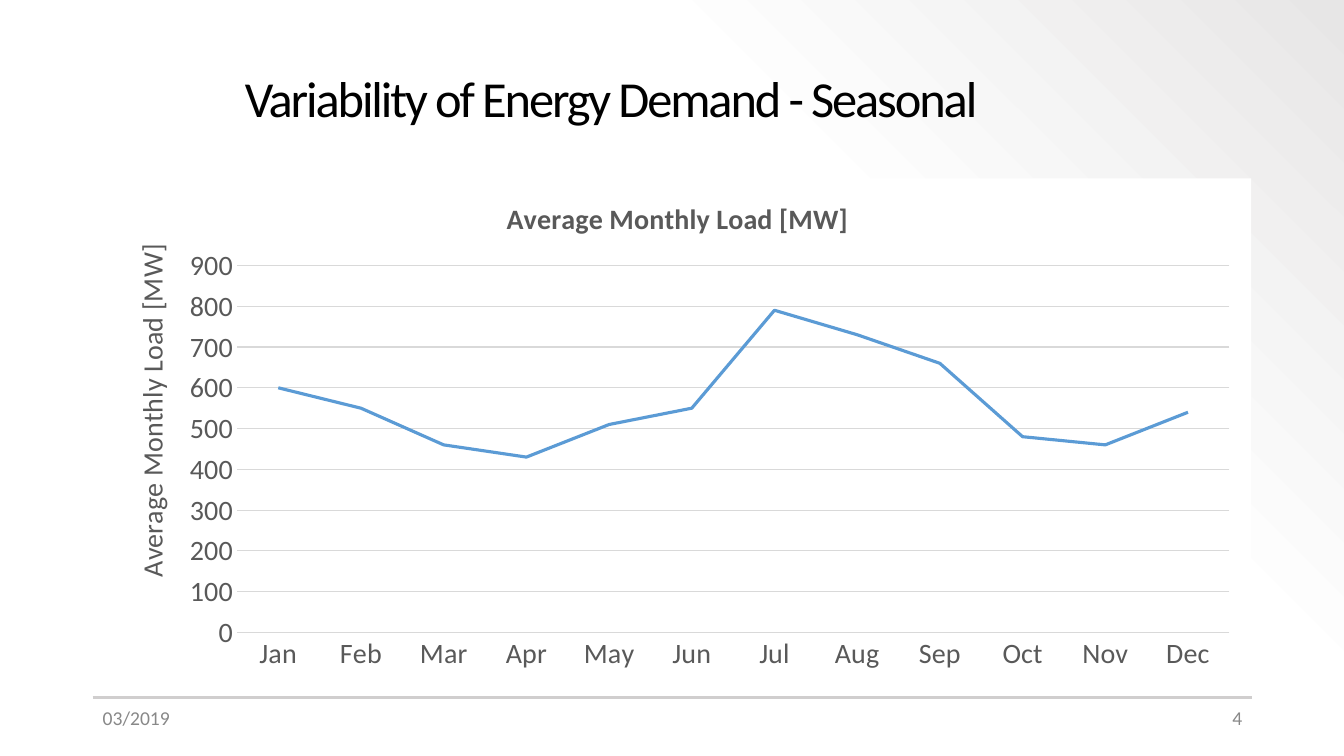
"""Build the slide on seasonal energy demand."""
import copy

import pptx
import pptx.chart.data
import pptx.dml.color
import pptx.enum.chart
import pptx.enum.shapes
import pptx.enum.text
import pptx.oxml
import pptx.oxml.ns
import pptx.util
from pptx.util import Inches

TITLE = "Variability of Energy Demand - Seasonal"
LOAD = "Average Monthly Load [MW]"
DEMAND = {
    "Jan": 600, "Feb": 550, "Mar": 460, "Apr": 430, "May": 510, "Jun": 550,
    "Jul": 790, "Aug": 730, "Sep": 660, "Oct": 480, "Nov": 460, "Dec": 540,
}
FONT = "Calibri"
BLACK, GREY, PALE, BLUE = "000000", "595959", "D9D9D9", "5B9BD5"
ALIGN = pptx.enum.text.PP_ALIGN
FOOTER = [("03/2019", 0.92, ALIGN.LEFT), ("4", 11.12, ALIGN.RIGHT)]
NS = 'xmlns:c="%s" xmlns:a="%s"' % (
    pptx.oxml.ns.nsuri("c"), pptx.oxml.ns.nsuri("a"))


def rgb(code):
    return pptx.dml.color.RGBColor.from_string(code)


def style(font, size, color, bold=False):
    font.name, font.size, font.bold = FONT, pptx.util.Pt(size), bold
    font.color.rgb = rgb(color)


def write(frame, text, size=14, color=BLACK, bold=False, align=None,
          space=None, track=None):
    para = frame.paragraphs[0]
    para.alignment, para.line_spacing = align, space
    run = para.add_run()
    run.text = text
    style(run.font, size, color, bold)
    if track is not None:
        run.font._element.set("spc", str(int(track * 100)))


def stroke(line, color, width):
    line.color.rgb = rgb(color)
    line.width = pptx.util.Pt(width)


def place(part, index, inner=False, **spots):
    for old in part.findall(pptx.oxml.ns.qn("c:layout")):
        part.remove(old)
    target = '<c:layoutTarget val="inner"/>' if inner else ""
    modes = '<c:xMode val="edge"/><c:yMode val="edge"/>'
    sizes = "".join(f'<c:{k} val="{v}"/>' for k, v in spots.items())
    part.insert(index, pptx.oxml.parse_xml(
        f"<c:layout {NS}><c:manualLayout>{target}{modes}{sizes}"
        "</c:manualLayout></c:layout>"))


def paint(slide):
    fill = slide.background.fill
    fill.gradient()
    fill.gradient_angle = 45
    first, last = fill.gradient_stops
    first.color.rgb, first.position = rgb("FDFDFD"), 0.69
    last.color.rgb, last.position = rgb("E7E6E6"), 1
    stops = slide.element.xpath(".//a:gsLst")[0]
    stops.insert(0, copy.deepcopy(stops[0]))
    start = fill.gradient_stops[0]
    start.color.rgb, start.position = rgb("FFFFFF"), 0


def plot(slide):
    data = pptx.chart.data.CategoryChartData(number_format="0")
    data.categories = list(DEMAND)
    data.add_series("Series 1", list(DEMAND.values()))
    chart = slide.shapes.add_chart(
        pptx.enum.chart.XL_CHART_TYPE.LINE, Inches(1.03), Inches(1.77),
        Inches(11.38), Inches(4.99), data).chart
    style(chart.font, 14, BLACK)
    chart.has_legend = False
    chart.has_title = True
    write(chart.chart_title.text_frame, LOAD, size=20, color=GREY, bold=True)
    chart.plots[0].vary_by_categories = False

    line = chart.plots[0].series[0]
    line.smooth = False
    line.marker.style = pptx.enum.chart.XL_MARKER_STYLE.NONE
    stroke(line.format.line, BLUE, 2.25)

    months, loads = chart.category_axis, chart.value_axis
    for axis in (months, loads):
        axis.major_tick_mark = pptx.enum.chart.XL_TICK_MARK.NONE
        axis.minor_tick_mark = pptx.enum.chart.XL_TICK_MARK.NONE
        style(axis.tick_labels.font, 20, GREY)
    stroke(months.format.line, PALE, 0.75)
    loads.format.line.fill.background()
    stroke(loads.major_gridlines.format.line, PALE, 0.75)
    loads.minimum_scale, loads.maximum_scale, loads.major_unit = 0, 900, 100
    loads.has_title = True
    write(loads.axis_title.text_frame, LOAD, size=20, color=GREY)

    root = chart.element
    place(root.xpath(".//c:valAx/c:title")[0], 1, x=0.02, y=0.12)
    place(root.xpath(".//c:plotArea")[0], 0, inner=True,
          x=0.116, y=0.173, w=0.865, h=0.73)
    root.xpath("./c:chart")[0].addnext(pptx.oxml.parse_xml(
        f'<c:spPr {NS}><a:solidFill><a:srgbClr val="FFFFFF"/></a:solidFill>'
        "<a:ln><a:noFill/></a:ln></c:spPr>"))


def main():
    deck = pptx.Presentation()
    deck.slide_width, deck.slide_height = Inches(13.33), Inches(7.5)
    slide = deck.slides.add_slide(deck.slide_layouts[5])
    paint(slide)

    rule = slide.shapes.add_connector(
        pptx.enum.shapes.MSO_CONNECTOR.STRAIGHT,
        Inches(0.92), Inches(6.92), Inches(12.42), Inches(6.92))
    stroke(rule.line, "D0CECE", 1.5)
    rule.element.spPr.append(pptx.oxml.parse_xml(f"<a:effectLst {NS}/>"))

    plot(slide)

    title = slide.shapes.title
    title.left, title.top = Inches(2.33), Inches(0.4)
    title.width, title.height = Inches(10.08), Inches(1.2)
    title.text_frame.vertical_anchor = pptx.enum.text.MSO_ANCHOR.MIDDLE
    write(title.text_frame, TITLE, size=36, align=ALIGN.LEFT, space=0.9,
          track=-1.5)

    for text, left, align in FOOTER:
        box = slide.shapes.add_textbox(
            Inches(left), Inches(6.95), Inches(1.3), Inches(0.4))
        box.text_frame.word_wrap = True
        write(box.text_frame, text, color="888888", align=align)

    deck.save("out.pptx")


if __name__ == "__main__":
    main()
